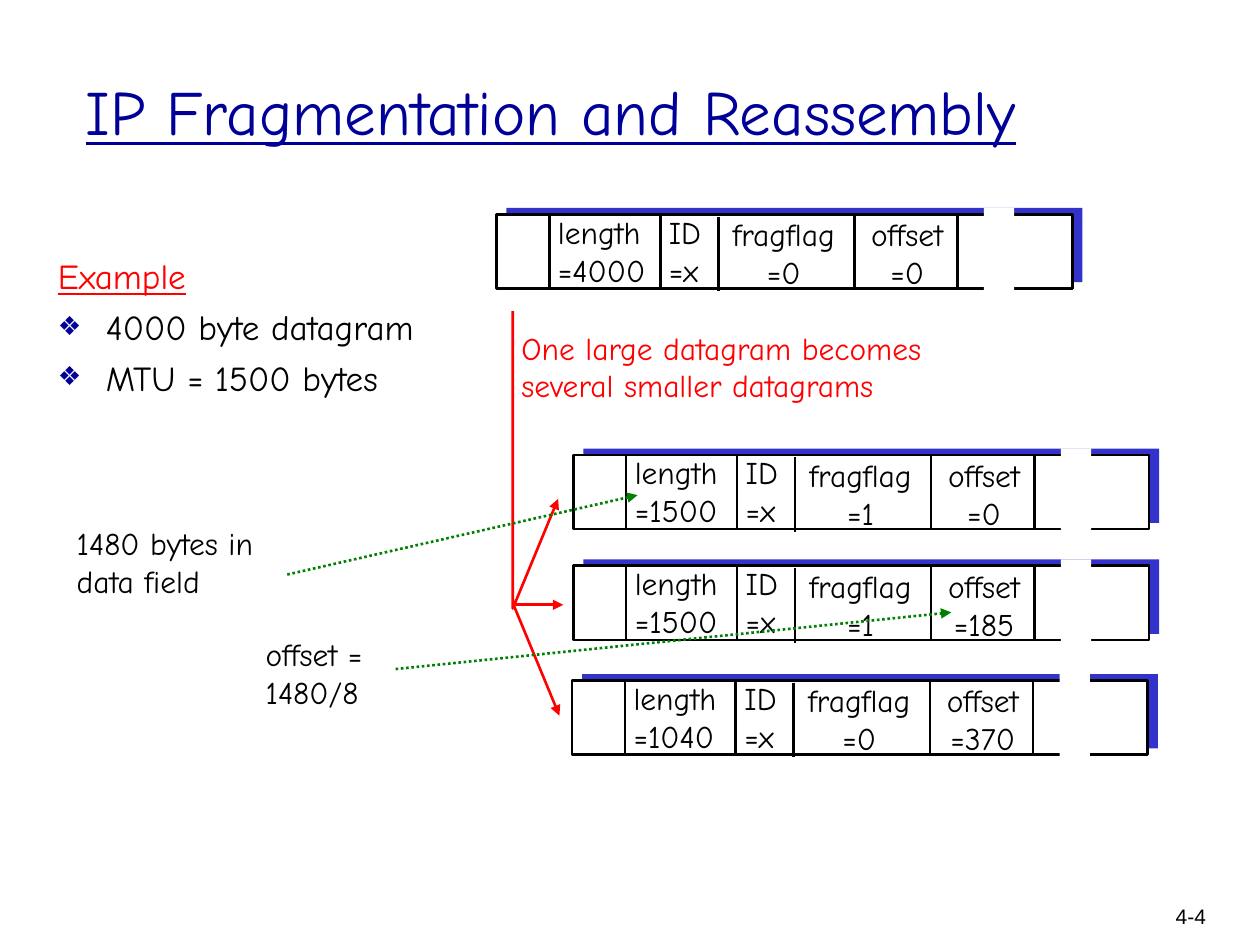
"""Build the slide on IP fragmentation and reassembly."""
from lxml import etree
from pptx import Presentation
from pptx import util as u
from pptx.dml.color import RGBColor
from pptx.enum import dml, shapes, text
from pptx.oxml import ns

FONT = "Comic Neue"
BLACK, WHITE, RED, GREEN = "000000", "FFFFFF", "FF0000", "008000"
NAVY, BLUE = "000099", "3333CC"
LEFT, CENTER, RIGHT = text.PP_ALIGN.LEFT, text.PP_ALIGN.CENTER, text.PP_ALIGN.RIGHT

TITLE = "IP Fragmentation and Reassembly"
EXAMPLE = ["Example", "4000 byte datagram", "MTU = 1500 bytes"]
DATAGRAMS = [
    (3.94, 1.7, ["=4000", "=x", "=0", "=0"]),
    (4.55, 3.61, ["=1500", "=x", "=1", "=0"]),
    (4.55, 4.49, ["=1500", "=x", "=1", "=185"]),
    (4.54, 5.4, ["=1040", "=x", "=0", "=370"]),
]
FIELDS = [
    ("length", 0.39, -0.06, 0.94, LEFT),
    ("ID", 1.27, -0.06, 0.52, LEFT),
    ("fragflag", 1.7, -0.04, 1.16, CENTER),
    ("offset", 2.78, -0.04, 0.96, CENTER),
]
DIVIDERS = [(0.42, 0), (1.3, 0), (1.76, 0.02), (2.84, 0), (3.66, 0)]
WIDTH, HEIGHT = 4.57, 0.59
LABELS = [
    (["One large datagram becomes", "several smaller datagrams"], (4.04, 2.56, 3.57, 0.7), RED),
    (["1480 bytes in \vdata field"], (0.51, 4.11, 1.85, 0.7), BLACK),
    (["offset =", "1480/8"], (2.01, 4.99, 1.16, 0.7), BLACK),
]
SPLIT_PATH = [(4.07, 2.47), (4.07, 4.83), (4.43, 3.96)]
SPLIT_ARROWS = [((4.07, 4.8), (4.47, 4.8)), ((4.08, 4.81), (4.44, 5.68))]
NOTE_ARROWS = [((2.28, 4.56), (5.06, 3.93)), ((3.14, 5.31), (7.55, 4.86))]


def inches(values):
    return [u.Inches(value) for value in values]


def color(value):
    return RGBColor.from_string(value)


def add_child(parent, tag, **attributes):
    return etree.SubElement(parent, ns.qn(tag), attributes)


def write(frame, lines, size=18, ink=BLACK, font=FONT, align=LEFT, underline=False):
    for index, line in enumerate(lines):
        para = frame.paragraphs[0] if index == 0 else frame.add_paragraph()
        para.text = line
        para.alignment = align
        for span in para.runs:
            span.font.size = u.Pt(size)
            span.font.name = font
            span.font.color.rgb = color(ink)
            span.font.underline = underline


def place(shape, area):
    shape.left, shape.top, shape.width, shape.height = inches(area)


def add_text(parent, lines, area, wrap=False, **style):
    frame = parent.add_textbox(*inches(area)).text_frame
    frame.word_wrap = wrap
    if not wrap:
        frame.auto_size = text.MSO_AUTO_SIZE.SHAPE_TO_FIT_TEXT
    write(frame, lines, **style)


def add_box(parent, area, fill, outline=None):
    box = parent.add_shape(shapes.MSO_SHAPE.RECTANGLE, *inches(area))
    box.shadow.inherit = False
    box.fill.solid()
    box.fill.fore_color.rgb = color(fill)
    if outline:
        box.line.color.rgb = color(outline)
        box.line.width = u.Pt(1.5)
    else:
        box.line.fill.background()


def style_line(shape, ink, arrow=False, dash=None):
    shape.line.color.rgb = color(ink)
    shape.line.width = u.Pt(1.5)
    if dash:
        shape.line.dash_style = dash
    if arrow:
        add_child(shape.line._get_or_add_ln(), "a:tailEnd", type="triangle")


def add_line(parent, start, end, ink, **style):
    line = parent.add_connector(shapes.MSO_CONNECTOR.STRAIGHT, *inches(start + end))
    style_line(line, ink, **style)
    add_child(line._element.spPr, "a:effectLst")


def add_datagram(page, x, y, values):
    group = page.shapes.add_group_shape().shapes
    add_box(group, (x + 0.08, y - 0.05, WIDTH, HEIGHT), BLUE)
    add_box(group, (x, y, WIDTH, HEIGHT), WHITE, BLACK)
    for (name, dx, dy, width, align), value in zip(FIELDS, values):
        add_text(group, [name, value], (x + dx, y + dy, width, 0.7), align=align)
    for dx, dy in DIVIDERS:
        add_line(group, (x + dx, y + dy), (x + dx, y + dy + HEIGHT), BLACK)
    add_box(group, (x + 3.87, y - 0.05, 0.24, 0.66), WHITE)


def add_split(page):
    group = page.shapes.add_group_shape().shapes
    start, *rest = [tuple(inches(point)) for point in SPLIT_PATH]
    builder = group.build_freeform(*start)
    builder.add_line_segments(rest, close=False)
    trunk = builder.convert_to_shape()
    trunk.shadow.inherit = False
    trunk.fill.background()
    style_line(trunk, RED, arrow=True)
    for tail, head in SPLIT_ARROWS:
        add_line(group, tail, head, RED, arrow=True)


def fill_example(body):
    place(body, (0.36, 1.97, 3.1, 1.84))
    frame = body.text_frame
    frame.auto_size = text.MSO_AUTO_SIZE.NONE
    write(frame, EXAMPLE, size=20)
    for index, para in enumerate(frame.paragraphs):
        para.space_before = u.Pt(5)
        props = para._p.get_or_add_pPr()
        props.set("marL", str(u.Inches(0.38)))
        props.set("indent", str(u.Inches(-0.38)))
        if index == 0:
            add_child(props, "a:buNone")
            para.runs[0].font.underline = True
            para.runs[0].font.color.rgb = color(RED)
        else:
            add_child(add_child(props, "a:buClr"), "a:srgbClr", val=NAVY)
            add_child(props, "a:buSzPct", val="75000")
            add_child(props, "a:buChar", char="❖")


def main():
    deck = Presentation()
    deck.slide_width, deck.slide_height = inches((10, 7.5))
    page = deck.slides.add_slide(deck.slide_layouts[1])
    title, body = page.placeholders
    place(title, (0.58, 0.25, 8.5, 1.25))
    title.text_frame.vertical_anchor = text.MSO_ANCHOR.MIDDLE
    write(title.text_frame, [TITLE], size=36, ink=NAVY, underline=True)
    fill_example(body)
    for x, y, values in DATAGRAMS:
        add_datagram(page, x, y, values)
    add_split(page)
    for lines, area, ink in LABELS:
        add_text(page.shapes, lines, area, ink=ink)
    for tail, head in NOTE_ARROWS:
        add_line(page.shapes, tail, head, GREEN, arrow=True, dash=dml.MSO_LINE.ROUND_DOT)
    add_text(page.shapes, ["4-4"], (8.93, 7.12, 0.74, 0.38), wrap=True,
             size=12, font="Arial", align=RIGHT)
    deck.save("out.pptx")


if __name__ == "__main__":
    main()
